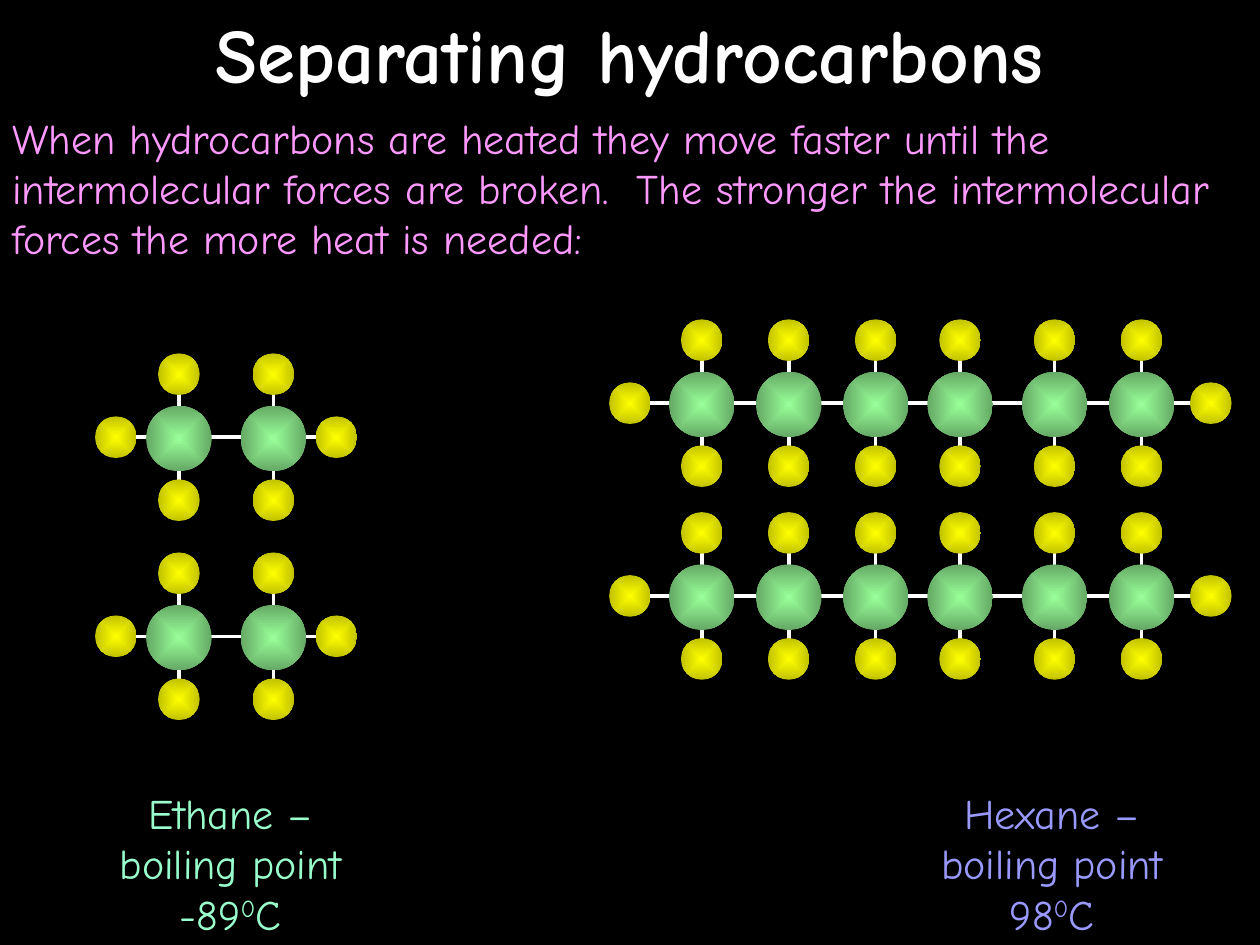
"""Build the slide on separating hydrocarbons by boiling point."""
import pptx
import pptx.dml.color
import pptx.enum.shapes
import pptx.enum.text
import pptx.oxml
import pptx.oxml.ns
import pptx.util

Inches = pptx.util.Inches
RGB = pptx.dml.color.RGBColor.from_string
ALIGN = pptx.enum.text.PP_ALIGN
ANCHOR = pptx.enum.text.MSO_ANCHOR
SHAPE = pptx.enum.shapes.MSO_SHAPE
CONNECTOR = pptx.enum.shapes.MSO_CONNECTOR

THEME = {
    "font": "Comic Neue", "background": "000000", "bond": "FFFFFF", "bond_width": 2,
    "title": {"size": 44, "color": "FFFFFF", "bold": True},
    "intro": {"size": 24, "color": "FF99FF", "bold": False},
    "ethane": {"size": 24, "color": "99FFCC", "bold": False},
    "hexane": {"size": 24, "color": "9999FF", "bold": False},
    "carbon": {"size": 0.52, "colors": ("99FF99", "65A865")},
    "hydrogen": {"size": 0.33, "colors": ("FFFF00", "C2C200")},
}

TEXTS = [
    {"style": "title", "box": (0, 0, 10, 0.84), "align": ALIGN.CENTER, "anchor": ANCHOR.MIDDLE,
     "runs": [("Separating hydrocarbons", False)]},
    {"style": "intro", "box": (0, 0.84, 10, 1.3), "align": ALIGN.LEFT, "anchor": ANCHOR.TOP,
     "runs": [("When hydrocarbons are heated they move faster until the intermolecular "
               "forces are broken.  The stronger the intermolecular forces the more heat "
               "is needed:", False)]},
    {"style": "ethane", "box": (0.75, 6.2, 2.16, 1.3), "align": ALIGN.CENTER, "anchor": ANCHOR.TOP,
     "runs": [("Ethane – boiling point -89", False), ("0", True), ("C", False)]},
    {"style": "hexane", "box": (7.05, 6.2, 2.6, 1.3), "align": ALIGN.CENTER, "anchor": ANCHOR.TOP,
     "runs": [("Hexane – boiling point 98", False), ("0", True), ("C", False)]},
]

MOLECULES = [
    {"carbons": (1.42, 2.17), "ends": (0.92, 2.67), "rows": (3.47, 5.05)},
    {"carbons": (5.57, 6.26, 6.95, 7.62, 8.37, 9.06), "ends": (5, 9.61), "rows": (3.2, 4.73)},
]
BOND_LENGTH = 0.5
CARBON_DROP = 0.01


def add_text(slide, style, box, align, anchor, runs):
    """Add one wrapped paragraph, with raised runs where marked."""
    look = THEME[style]
    tf = slide.shapes.add_textbox(*map(Inches, box)).text_frame
    for name, value in {"word_wrap": True, "vertical_anchor": anchor}.items():
        setattr(tf, name, value)
    p = tf.paragraphs[0]
    p.alignment = align
    font = {"name": THEME["font"], "size": pptx.util.Pt(look["size"]), "bold": look["bold"]}
    for text, raised in runs:
        r = p.add_run()
        r.text = text
        for name, value in font.items():
            setattr(r.font, name, value)
        r.font.color.rgb = RGB(look["color"])
        if raised:
            r._r.get_or_add_rPr().set("baseline", "30000")


def add_bond(group, x1, y1, x2, y2):
    """Draw a straight bond without a shadow."""
    s = group.shapes.add_connector(CONNECTOR.STRAIGHT, *map(Inches, (x1, y1, x2, y2)))
    s.line.color.rgb = RGB(THEME["bond"])
    s.line.width = pptx.util.Pt(THEME["bond_width"])
    s._element.spPr.append(pptx.oxml.parse_xml(
        f'<a:effectLst {pptx.oxml.ns.nsdecls("a")}/>'))


def add_atom(group, kind, x, y):
    """Draw an atom centred on a point, shaded outwards from its middle."""
    size, colors = THEME[kind]["size"], THEME[kind]["colors"]
    box = (x - size / 2, y - size / 2, size, size)
    s = group.shapes.add_shape(SHAPE.OVAL, *map(Inches, box))
    s.shadow.inherit = False
    s.line.fill.background()
    s.fill.gradient()
    for stop, color in zip(s.fill.gradient_stops, colors):
        stop.color.rgb = RGB(color)
    grad = s._element.spPr.find(pptx.oxml.ns.qn("a:gradFill"))
    grad.replace(grad.find(pptx.oxml.ns.qn("a:lin")), pptx.oxml.parse_xml(
        f'<a:path {pptx.oxml.ns.nsdecls("a")} path="rect">'
        '<a:fillToRect l="50000" t="50000" r="50000" b="50000"/></a:path>'))


def add_molecule(slide, carbons, ends, y):
    """Group a carbon chain with its bonds and hydrogens."""
    group = slide.shapes.add_group_shape()
    top, bottom = y - BOND_LENGTH, y + BOND_LENGTH
    for x in carbons:
        add_bond(group, x, top, x, bottom)
    add_bond(group, ends[0], y, ends[1], y)
    for x in carbons:
        add_atom(group, "carbon", x, y + CARBON_DROP)
        add_atom(group, "hydrogen", x, top)
        add_atom(group, "hydrogen", x, bottom)
    for x in ends:
        add_atom(group, "hydrogen", x, y)


def main():
    """Assemble and save the slide."""
    prs = pptx.Presentation()
    prs.slide_width, prs.slide_height = Inches(10), Inches(7.5)
    slide = prs.slides.add_slide(prs.slide_layouts[6])
    slide.background.fill.solid()
    slide.background.fill.fore_color.rgb = RGB(THEME["background"])
    for text in TEXTS:
        add_text(slide, **text)
    for molecule in MOLECULES:
        for y in molecule["rows"]:
            add_molecule(slide, molecule["carbons"], molecule["ends"], y)
    prs.save("out.pptx")


if __name__ == "__main__":
    main()
